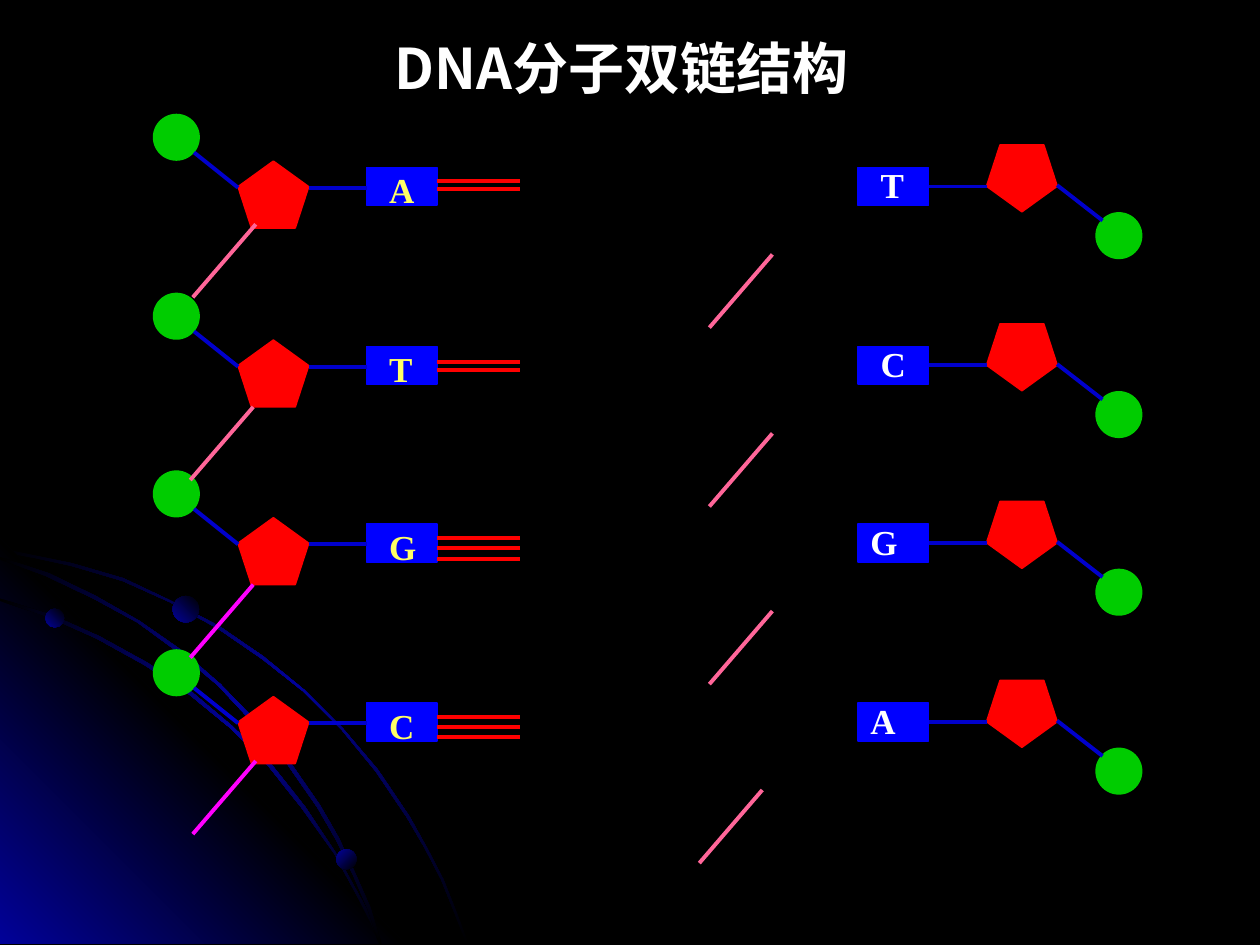
import pptx
import pptx.dml.color
import pptx.enum.shapes
import pptx.enum.text
import pptx.oxml.ns
import pptx.util
from lxml import etree

PX = 9144  # 100 px to the inch
RGB = pptx.dml.color.RGBColor
BLACK = RGB(0x00, 0x00, 0x00)
WHITE = RGB(0xFF, 0xFF, 0xFF)
NAVY = RGB(0x01, 0x01, 0x99)
RED = RGB(0xFF, 0x00, 0x00)
BLUE = RGB(0x00, 0x00, 0xFF)
GREEN = RGB(0x00, 0xCC, 0x00)
LINK_BLUE = RGB(0x00, 0x00, 0xCC)
YELLOW = RGB(0xFF, 0xFF, 0x66)
PINK = RGB(0xFF, 0x66, 0x99)
MAGENTA = RGB(0xFF, 0x00, 0xFF)
SHAPE = pptx.enum.shapes.MSO_SHAPE
ANCHOR = pptx.enum.text.MSO_ANCHOR
qn = pptx.oxml.ns.qn

deck = pptx.Presentation()
deck.slide_width = 1000 * PX
deck.slide_height = 750 * PX
slide = deck.slides.add_slide(deck.slide_layouts[5])
slide.background.fill.solid()
slide.background.fill.fore_color.rgb = BLACK
shapes = slide.shapes


def write(box, content, *, size, font, color, anchor=ANCHOR.TOP, wrap=True):
    frame = box.text_frame
    frame.auto_size = pptx.enum.text.MSO_AUTO_SIZE.NONE
    frame.word_wrap = wrap
    frame.vertical_anchor = anchor
    frame.text = content
    paragraph = frame.paragraphs[0]
    paragraph.alignment = pptx.enum.text.PP_ALIGN.LEFT
    run = paragraph.runs[0]
    run.font.size = pptx.util.Pt(size)
    run.font.name = font
    run.font.bold = True
    run.font.color.rgb = color
    etree.SubElement(run.font._element, qn("a:ea")).set("typeface", font)


def draw_line(x1, y1, x2, y2, color):
    line = shapes.add_connector(pptx.enum.shapes.MSO_CONNECTOR.STRAIGHT,
                                x1 * PX, y1 * PX, x2 * PX, y2 * PX)
    line.line.color.rgb = color
    line.line.width = pptx.util.Pt(2.25)
    etree.SubElement(line._element.spPr, qn("a:effectLst"))


# Title
title = shapes.title
title.left, title.top, title.width, title.height = 303 * PX, 21 * PX, 433 * PX, 64 * PX
write(title, "DNA分子双链结构", size=32, font="Noto Sans CJK JP", color=WHITE,
      anchor=ANCHOR.MIDDLE)

# Background orbits and corner glow, each with its gradient stops and angle
glow = [(0, NAVY), (50, BLACK), (100, NAVY)]
streak = [(0, BLACK), (50, NAVY), (100, BLACK)]
ball = [(0, BLACK), (100, NAVY)]
outlines = [
    ([(57, 447), (28, 441), (0, 435), (0, 438), (28, 443), (56, 449), (97, 461),
      (135, 478), (173, 499), (208, 523), (241, 549), (271, 579), (298, 612),
      (323, 649), (337, 673), (350, 698), (360, 723), (370, 749), (372, 749),
      (362, 723), (352, 698), (339, 673), (325, 648), (300, 611), (272, 578),
      (242, 548), (209, 521), (174, 497), (136, 477), (98, 459)], streak, 225),
    ([(322, 749), (0, 749), (0, 427)], glow, 135),
    ([(285, 714), (294, 732), (301, 749), (303, 749), (296, 730), (286, 712),
      (266, 676), (242, 640), (215, 606), (184, 576), (152, 549), (117, 526),
      (79, 505), (41, 488), (0, 475), (0, 477), (39, 490), (77, 507), (115, 528),
      (150, 551), (183, 578), (213, 608), (240, 642), (265, 677)], streak, 225),
    ([(0, 442), (0, 444), (36, 457), (74, 475), (109, 494), (142, 518), (173, 544),
      (202, 575), (227, 605), (252, 641), (267, 667), (280, 694), (292, 722),
      (301, 749), (303, 749), (294, 720), (282, 693), (269, 665), (254, 639),
      (229, 603), (204, 573), (175, 543), (144, 516), (111, 493), (76, 473),
      (39, 455)], streak, 225),
]
scenery = []
for points, stops, angle in outlines:
    builder = shapes.build_freeform(*points[0], scale=PX)
    builder.add_line_segments(points[1:], close=True)
    scenery.append((builder.convert_to_shape(), stops, angle))
for x, y, size, angle in [(36, 483, 15, 135), (267, 674, 16, 225), (137, 473, 21, 135)]:
    planet = shapes.add_shape(SHAPE.OVAL, x * PX, y * PX, size * PX, size * PX)
    scenery.append((planet, ball, angle))

for part, stops, angle in scenery:
    part.shadow.inherit = False
    part.line.fill.background()
    part.fill.gradient()
    gradient = part._element.spPr.find(qn("a:gradFill"))
    stop_list = gradient.find(qn("a:gsLst"))
    for old_stop in list(stop_list):
        stop_list.remove(old_stop)
    for position, color in stops:
        stop = etree.SubElement(stop_list, qn("a:gs"), pos=str(position * 1000))
        etree.SubElement(stop, qn("a:srgbClr"), val=str(color))
    gradient.find(qn("a:lin")).set("ang", str(angle * 60000))

# Nucleotides: sugar, base and phosphate with their links, four to a strand
left_strand = dict(
    parts=[(SHAPE.REGULAR_PENTAGON, 189, 128, 56, 53, RED),
           (SHAPE.RECTANGLE, 291, 133, 56, 30, BLUE),
           (SHAPE.OVAL, 122, 91, 36, 36, GREEN)],
    links=[(245, 149, 291, 149), (154, 121, 189, 149)],
    rotation=0, letters="ATGC", letter_x=[299] * 4, letter_y=129, color=YELLOW)
right_strand = dict(
    parts=[(SHAPE.REGULAR_PENTAGON, 783, 115, 56, 53, RED),
           (SHAPE.RECTANGLE, 681, 133, 56, 30, BLUE),
           (SHAPE.OVAL, 870, 169, 36, 36, GREEN)],
    links=[(783, 148, 737, 148), (875, 175, 839, 147)],
    rotation=180, letters="TCGA", letter_x=[689, 689, 681, 681], letter_y=125, color=WHITE)

row_offsets = [round(row * 425 / 3) for row in range(4)]
for strand in (left_strand, right_strand):
    for offset, letter, letter_x in zip(row_offsets, strand["letters"], strand["letter_x"]):
        for kind, x, y, width, height, color in strand["parts"]:
            part = shapes.add_shape(kind, x * PX, (y + offset) * PX, width * PX, height * PX)
            part.rotation = strand["rotation"]
            part.shadow.inherit = False
            part.fill.solid()
            part.fill.fore_color.rgb = color
            part.line.color.rgb = color
            part.line.width = pptx.util.Pt(1)
        for x1, y1, x2, y2 in strand["links"]:
            draw_line(x1, y1 + offset, x2, y2 + offset, LINK_BLUE)
        base = shapes.add_textbox(letter_x * PX, (strand["letter_y"] + offset) * PX,
                                  47 * PX, 44 * PX)
        write(base, letter, size=20, font="Times New Roman", color=strand["color"], wrap=False)

# Hydrogen bonds: two for A and T, three for G and C
for y in (144, 150, 287, 294, 427, 435, 444, 569, 577, 585):
    draw_line(347, y, 413, y, RED)

# Backbone bonds: left strand, then the loose ones for the right strand
backbone = [(203, 178, PINK), (201, 323, PINK), (201, 464, MAGENTA), (203, 604, MAGENTA),
            (613, 202, PINK), (613, 344, PINK), (613, 485, PINK), (605, 627, PINK)]
for x, y, color in backbone:
    draw_line(x, y, x - 50, y + 58, color)

deck.save("out.pptx")
